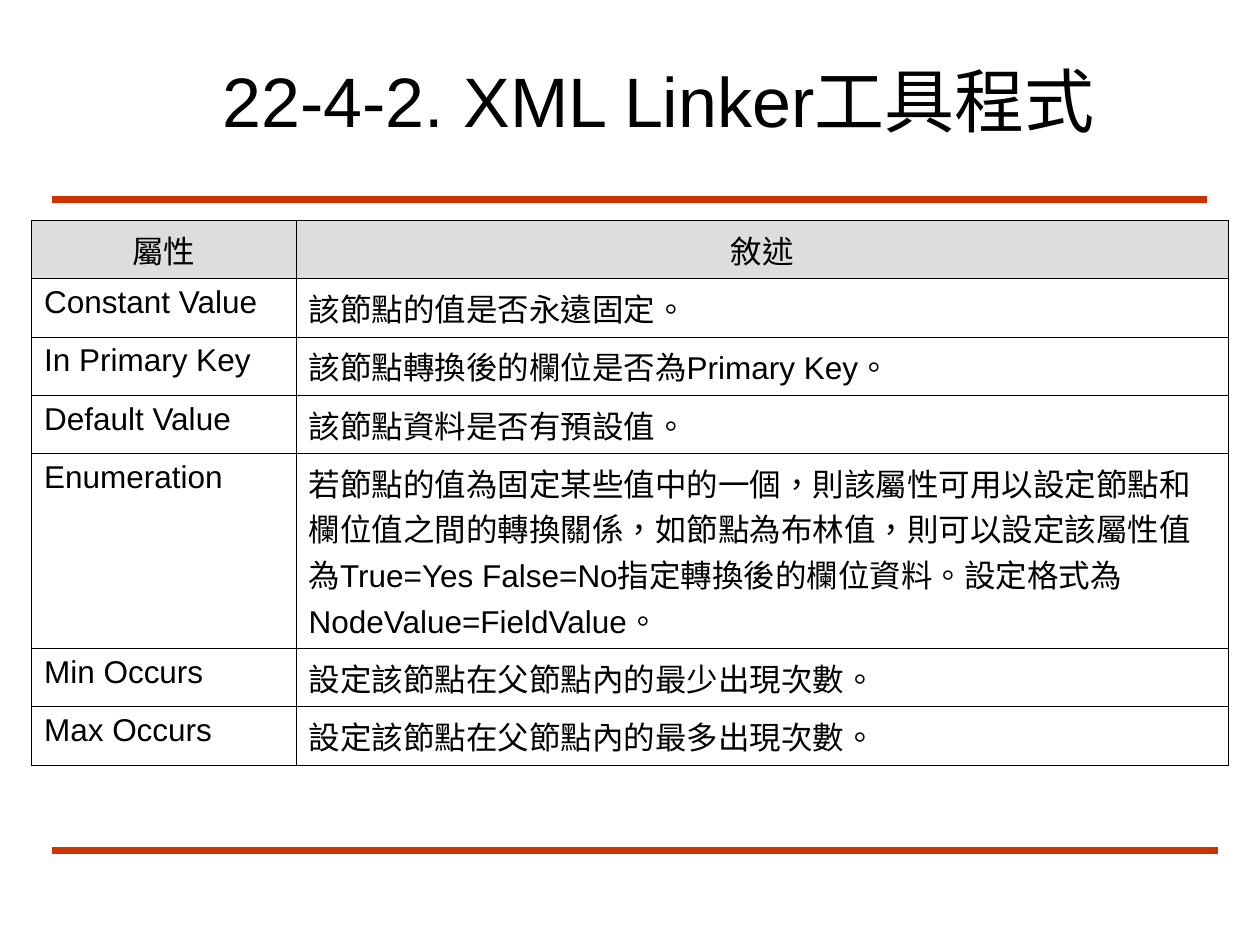
import pptx
import pptx.dml.color
import pptx.enum.lang
import pptx.enum.shapes
import pptx.enum.text
import pptx.oxml
import pptx.oxml.ns
import pptx.util

Pt = pptx.util.Pt
ALIGN = pptx.enum.text.PP_ALIGN
ANCHOR = pptx.enum.text.MSO_ANCHOR

# Content
TITLE = "22-4-2. XML Linker工具程式"
ROWS = [
    ("屬性", "敘述"),
    ("Constant Value", "該節點的值是否永遠固定。"),
    ("In Primary Key", "該節點轉換後的欄位是否為Primary Key。"),
    ("Default Value", "該節點資料是否有預設值。"),
    ("Enumeration", "若節點的值為固定某些值中的一個，則該屬性可用以設定節點和"
     "欄位值之間的轉換關係，如節點為布林值，則可以設定該屬性值"
     "為True=Yes False=No指定轉換後的欄位資料。設定格式為NodeValue=FieldValue。"),
    ("Min Occurs", "設定該節點在父節點內的最少出現次數。"),
    ("Max Occurs", "設定該節點在父節點內的最多出現次數。"),
]

# Layout in points
TITLE_BOX = (120, 24, 546, 66)
RULES = [(30, 690, 114), (30, 696, 486)]  # left, right, height on the slide
TABLE_LEFT, TABLE_TOP = 18, 126
COLUMN_WIDTHS = (151.2, 532.8)
ROW_HEIGHT, TALL_ROW_HEIGHT = 28.8, 93.6
TALL_ROW = 4


def color(value):
    return pptx.dml.color.RGBColor.from_string(value)


def write(frame, text, size=18, align=ALIGN.LEFT):
    frame.word_wrap = True
    paragraph = frame.paragraphs[0]
    paragraph.alignment = align
    run = paragraph.add_run()
    run.text = text
    run.font.size = Pt(size)
    run.font.name = "Arial"
    run.font.color.rgb = color("000000")
    run.font.language_id = pptx.enum.lang.MSO_LANGUAGE_ID.TRADITIONAL_CHINESE


def add_rule(shapes, left, right, height):
    line = shapes.add_connector(pptx.enum.shapes.MSO_CONNECTOR.STRAIGHT,
                                Pt(left), Pt(height), Pt(right), Pt(height))
    line.line.color.rgb = color("CC3300")
    line.line.width = Pt(4.5)
    properties = line._element.spPr
    properties.append(pptx.oxml.parse_xml(
        f'<a:effectLst {pptx.oxml.ns.nsdecls("a")}/>'))


def add_borders(cell):
    properties = cell._tc.get_or_add_tcPr()
    for position, side in enumerate(("lnL", "lnR", "lnT", "lnB")):
        properties.insert(position, pptx.oxml.parse_xml(
            f'<a:{side} {pptx.oxml.ns.nsdecls("a")} w="{Pt(0.45)}"><a:solidFill>'
            f'<a:srgbClr val="000000"/></a:solidFill></a:{side}>'))


presentation = pptx.Presentation()
presentation.slide_width, presentation.slide_height = Pt(720), Pt(540)
slide = presentation.slides.add_slide(presentation.slide_layouts[5])

# Rules above and below the table
for rule in RULES:
    add_rule(slide.shapes, *rule)

# Title
title = slide.shapes.title
title.left, title.top, title.width, title.height = map(Pt, TITLE_BOX)
title.text_frame.auto_size = pptx.enum.text.MSO_AUTO_SIZE.NONE
title.text_frame.vertical_anchor = ANCHOR.MIDDLE
write(title.text_frame, TITLE, size=40)

# Table of properties
heights = [ROW_HEIGHT] * len(ROWS)
heights[TALL_ROW] = TALL_ROW_HEIGHT
table = slide.shapes.add_table(
    len(ROWS), len(COLUMN_WIDTHS), Pt(TABLE_LEFT), Pt(TABLE_TOP),
    Pt(sum(COLUMN_WIDTHS)), Pt(sum(heights))).table
table.first_row = table.horz_banding = False
for column, width in zip(table.columns, COLUMN_WIDTHS):
    column.width = Pt(width)
for row_index, (row, height, texts) in enumerate(zip(table.rows, heights, ROWS)):
    row.height = Pt(height)
    header = row_index == 0
    for cell, text in zip(row.cells, texts):
        write(cell.text_frame, text, align=ALIGN.CENTER if header else ALIGN.LEFT)
        cell.vertical_anchor = ANCHOR.TOP
        if header:
            cell.fill.solid()
            cell.fill.fore_color.rgb = color("DDDDDD")
        else:
            cell.fill.background()
        add_borders(cell)

presentation.save("out.pptx")
